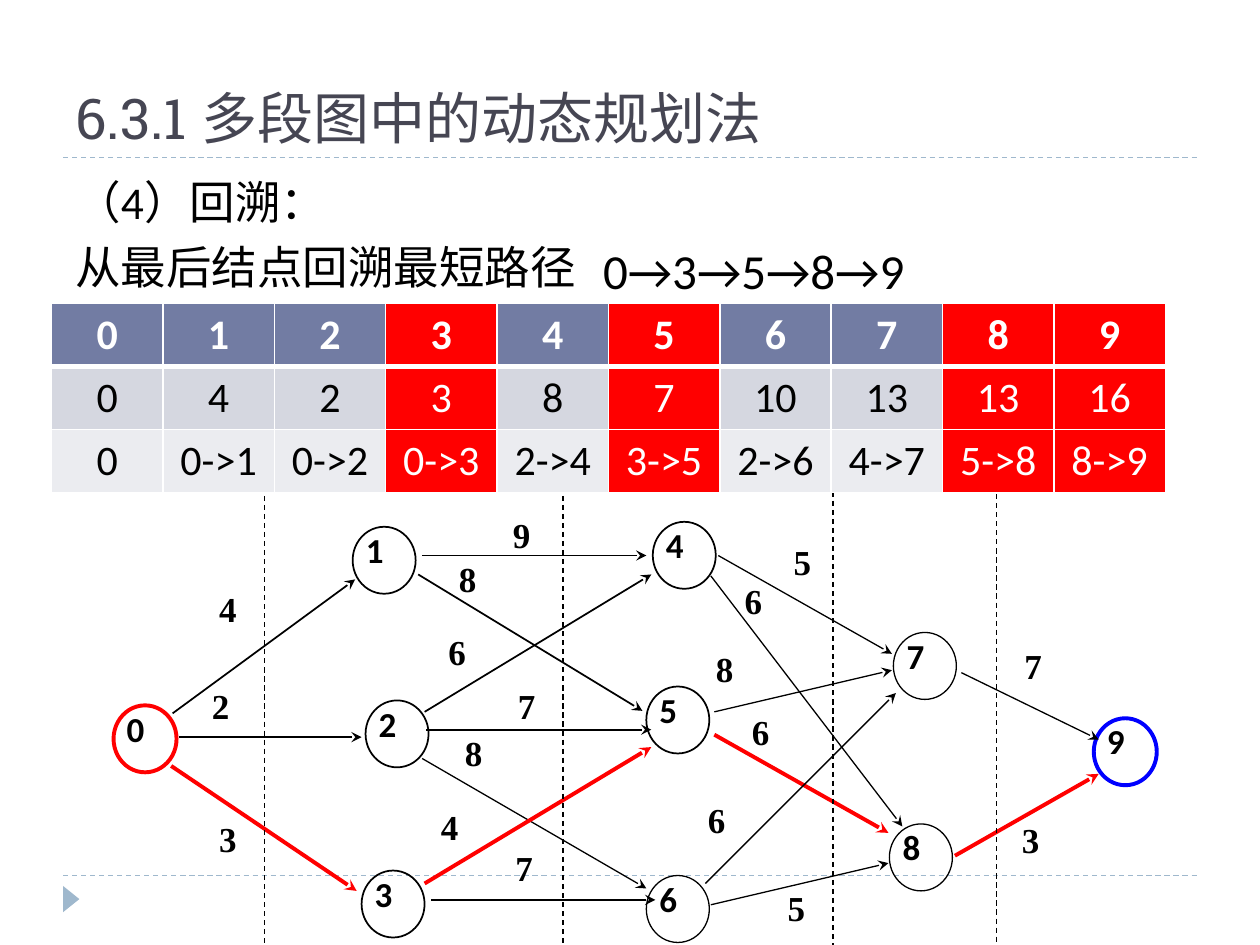
import pptx
import pptx.util
import pptx.dml.color
import pptx.enum.dml
import pptx.enum.shapes
import pptx.enum.text
import pptx.oxml.ns
import lxml.etree

Cm, Pt = pptx.util.Cm, pptx.util.Pt
SHAPE = pptx.enum.shapes.MSO_SHAPE
ALIGN = pptx.enum.text.PP_ALIGN
ANCHOR = pptx.enum.text.MSO_ANCHOR
qn = pptx.oxml.ns.qn

COLORS = {
    "black": "000000", "white": "FFFFFF", "red": "FF0000", "blue": "0000FF",
    "title": "464653", "rule": "9FB8CD",
    "head": "727CA3", "band1": "D5D7E0", "band2": "EBECF0",
}

SHORTEST = [0, 3, 5, 8, 9]
TABLE = [
    [str(n) for n in range(10)],
    ["0", "4", "2", "3", "8", "7", "10", "13", "13", "16"],
    ["0", "0->1", "0->2", "0->3", "2->4", "3->5", "2->6", "4->7", "5->8", "8->9"],
]
# Left and top of each node, in cm, by node number
NODES = [
    (2.29, 14.22), (7.11, 10.62), (7.37, 14.12), (7.29, 17.55), (13.16, 10.52),
    (13.03, 13.84), (13.03, 17.65), (18.01, 12.75), (17.93, 16.61), (22.05, 14.48),
]
# (from node, to node): weight, weight position, arrow start, arrow end
EDGES = {
    (0, 1): ("4", (4.42, 12.01), (3.48, 14.38), (7.16, 11.68)),
    (0, 2): ("2", (4.27, 13.97), (3.61, 14.86), (7.29, 14.86)),
    (0, 3): ("3", (4.42, 16.64), (3.45, 15.44), (7.19, 17.96)),
    (1, 4): ("9", (10.34, 10.52), (8.51, 11.2), (13.03, 11.2)),
    (1, 5): ("8", (9.25, 11.4), (8.43, 11.58), (12.95, 14.33)),
    (2, 4): ("6", (9.04, 12.88), (8.56, 14.35), (13.13, 11.58)),
    (2, 5): ("7", (10.44, 13.97), (8.59, 14.71), (13.13, 14.71)),
    (2, 6): ("8", (9.37, 14.91), (8.51, 15.29), (13.03, 17.91)),
    (3, 5): ("4", (8.89, 16.41), (8.56, 17.81), (13.13, 15.06)),
    (3, 6): ("7", (10.39, 17.22), (8.69, 18.14), (13.21, 18.14)),
    (4, 7): ("5", (16, 11.07), (14.48, 11.2), (17.98, 13.18)),
    (4, 8): ("6", (15.01, 11.84), (14.33, 11.61), (18.19, 16.66)),
    (5, 7): ("8", (14.43, 13.21), (14.4, 14.35), (17.98, 13.51)),
    (5, 8): ("6", (15.16, 14.48), (14.4, 14.81), (17.91, 16.79)),
    (6, 7): ("6", (14.27, 16.26), (14.22, 17.81), (18.06, 13.97)),
    (6, 8): ("5", (15.88, 18.03), (14.33, 18.24), (17.91, 17.4)),
    (7, 9): ("7", (20.65, 13.16), (19.38, 13.56), (22.15, 14.91)),
    (8, 9): ("3", (20.6, 16.66), (19.25, 17.25), (22.15, 15.6)),
}
STAGE_LINES = [(5.33, 9.45), (11.35, 9.63), (16.79, 9.73), (20.09, 9.78)]


def rgb(name):
    return pptx.dml.color.RGBColor.from_string(COLORS[name])


def write(tf, text, size=20, font="Calibri", color="black", bold=False,
          align=None, spacing=None, before=None, anchor=None, insets=None, wrap=True):
    """Fill a text frame, one paragraph for each line of text."""
    tf.word_wrap = wrap
    if anchor is not None:
        tf.vertical_anchor = anchor
    if insets is not None:
        tf.margin_left, tf.margin_top, tf.margin_right, tf.margin_bottom = map(Cm, insets)
    for i, line in enumerate(text.split("\n")):
        p = tf.paragraphs[0] if i == 0 else tf.add_paragraph()
        p.alignment, p.line_spacing = align, spacing
        if before is not None:
            p.space_before = Pt(before)
        r = p.add_run()
        r.text = line
        r.font.size, r.font.name, r.font.bold = Pt(size), font, bold
        r.font.color.rgb = rgb(color)


def add_text(s, left, top, width, height, text, **fmt):
    tb = s.shapes.add_textbox(Cm(left), Cm(top), Cm(width), Cm(height))
    write(tb.text_frame, text, **fmt)


def add_line(s, start, end, color="black", width=0.75, dash=False, arrow=False):
    ln = s.shapes.add_connector(pptx.enum.shapes.MSO_CONNECTOR.STRAIGHT,
                                *map(Cm, start + end))
    ln.line.color.rgb = rgb(color)
    ln.line.width = Pt(width)
    if dash:
        ln.line.dash_style = pptx.enum.dml.MSO_LINE.DASH
    if arrow:
        lxml.etree.SubElement(ln.line._get_or_add_ln(), qn("a:tailEnd"), type="stealth")
    lxml.etree.SubElement(ln._element.spPr, qn("a:effectLst"))


def add_node(s, number):
    left, top = NODES[number]
    sp = s.shapes.add_shape(SHAPE.OVAL, Cm(left), Cm(top), Cm(1.27), Cm(1.35))
    sp.shadow.inherit = False
    sp.fill.background()
    sp.line.color.rgb = rgb({0: "red", 9: "blue"}.get(number, "black"))
    sp.line.width = Pt(2.25 if number in (0, 9) else 1 if number < 6 else 0.75)
    write(sp.text_frame, str(number), bold=True, align=ALIGN.JUSTIFY, spacing=0.8,
          anchor=ANCHOR.TOP, insets=(0.08, 0, 0, 0))


def add_edge(s, ends):
    weight, place, start, end = EDGES[ends]
    if ends in zip(SHORTEST, SHORTEST[1:]):
        color, width = "red", 2.25
    else:
        color, width = "black", 1 if max(ends) < 6 else 0.75
    add_line(s, start, end, color, width, arrow=True)
    add_text(s, *place, 0.71, 0.89, weight, font="Times New Roman", bold=True,
             align=ALIGN.JUSTIFY, spacing=0.8, insets=(0, 0, 0, 0))


def set_borders(cell, **widths):
    for side, width in widths.items():
        ln = lxml.etree.SubElement(cell._tc.get_or_add_tcPr(), qn("a:ln" + side),
                                   w=str(Pt(width)))
        fill = lxml.etree.SubElement(ln, qn("a:solidFill"))
        lxml.etree.SubElement(fill, qn("a:srgbClr"), val=COLORS["white"])


def add_path_table(s):
    table = s.shapes.add_table(len(TABLE), len(TABLE[0]), Cm(1.04), Cm(6.12),
                               Cm(22.45), Cm(3.81)).table
    for i, row in enumerate(TABLE):
        for j, text in enumerate(row):
            cell = table.cell(i, j)
            on_path = j in SHORTEST[1:]
            set_borders(cell, L=1, R=1, T=3 if i == 1 else 1, B=3 if i == 0 else 1)
            cell.fill.solid()
            cell.fill.fore_color.rgb = rgb("red" if on_path else ("head", "band1", "band2")[i])
            cell.vertical_anchor = ANCHOR.MIDDLE
            write(cell.text_frame, text, size=24, bold=i == 0, align=ALIGN.CENTER,
                  color="white" if on_path or i == 0 else "black")


def main():
    prs = pptx.Presentation()
    prs.slide_width, prs.slide_height = Cm(25.4), Cm(19.05)
    s = prs.slides.add_slide(prs.slide_layouts[6])

    # Rules and corner marker
    for y in (17.65, 3.18):
        add_line(s, (1.27, y), (24.13, y), "rule", dash=True)
    sp = s.shapes.add_shape(SHAPE.ISOSCELES_TRIANGLE, Cm(1.17), Cm(17.96), Cm(0.53), Cm(0.33))
    sp.rotation = 90
    sp.shadow.inherit = False
    sp.fill.solid()
    sp.fill.fore_color.rgb = rgb("rule")
    sp.line.fill.background()

    # Title and body
    add_text(s, 1.27, 0.43, 22.86, 2.74, "6.3.1 多段图中的动态规划法", size=32,
             font="Roboto Slab", color="title", anchor=ANCHOR.BOTTOM)
    add_text(s, 1.27, 3.38, 22.86, 13.72, "（4）回溯：\n从最后结点回溯最短路径",
             size=26, before=6)

    # Multistage graph
    for number in range(len(NODES)):
        add_node(s, number)
    for ends in EDGES:
        add_edge(s, ends)
    for x, top in STAGE_LINES:
        add_line(s, (x, top), (x, 19.05), dash=True)

    # Backtracking table and the shortest path
    add_path_table(s)
    add_text(s, 11.91, 4.72, 6.96, 1.45, "→".join(map(str, SHORTEST)), size=28, wrap=False)

    prs.save("out.pptx")


if __name__ == "__main__":
    main()
